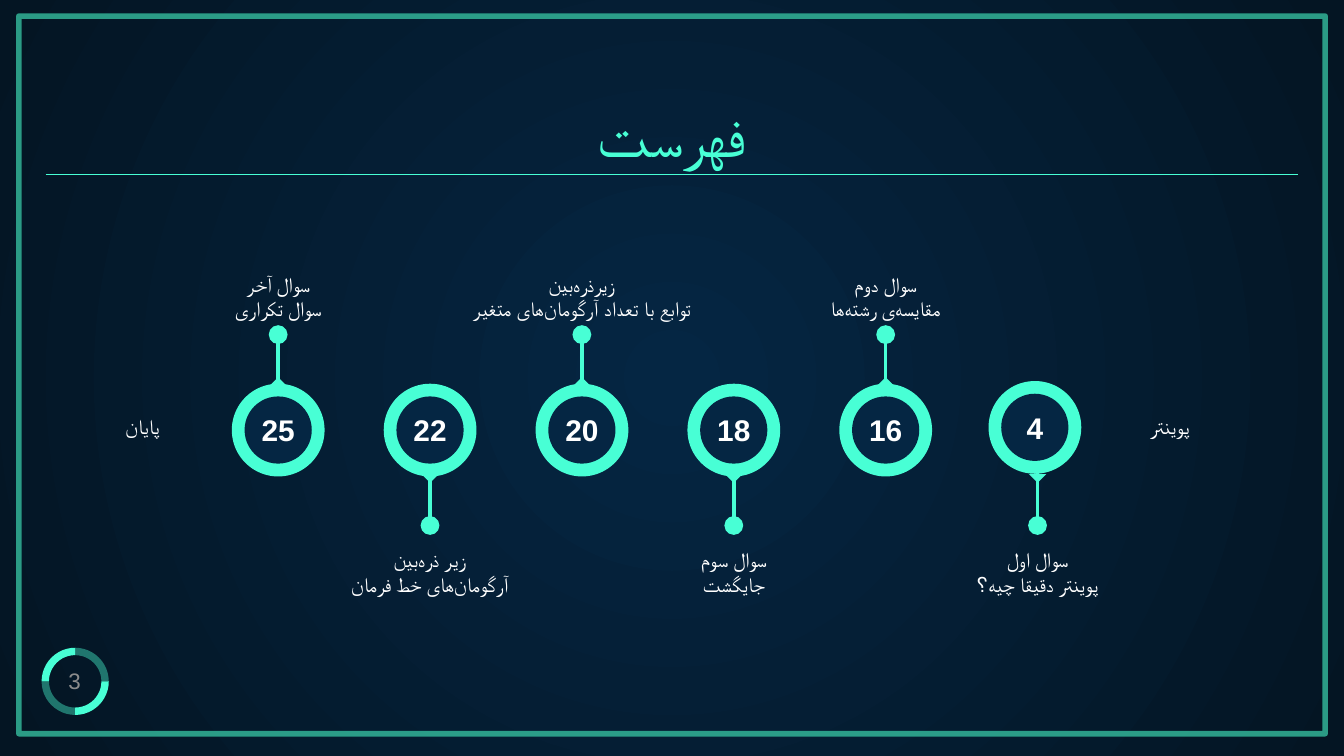
from lxml.etree import SubElement
from pptx import Presentation
from pptx.dml.color import RGBColor
from pptx.enum.shapes import MSO_CONNECTOR, MSO_SHAPE
from pptx.enum.text import MSO_ANCHOR, PP_ALIGN
from pptx.oxml.ns import qn
from pptx.util import Inches, Pt

MINT = RGBColor(0x48, 0xFF, 0xD5)
TEAL = RGBColor(0x35, 0xBD, 0x9E)
NAVY = RGBColor(0x05, 0x26, 0x43)
DARK = RGBColor(0x04, 0x15, 0x23)
GRAY = RGBColor(0x8C, 0x8C, 0x8C)
WHITE = RGBColor(0xFF, 0xFF, 0xFF)

WIDE, HIGH = 10, 5.625
JOINT = chr(0x200C)
TITLE = "فهرست"
PAGE = "3"
STOPS = [
    ("25", ["سوال آخر", "سوال تکراری"]),
    ("22", ["زیر ذره|بین", "آرگومان|های خط فرمان"]),
    ("20", ["زیرذره|بین", "توابع با تعداد آرگومان|های متغیر"]),
    ("18", ["سوال سوم", "جایگشت"]),
    ("16", ["سوال دوم", "مقایسه|ی رشته|ها"]),
    ("4", ["سوال اول", "پوینتر دقیقا چیه؟"]),
]
ENDS = [("پایان", 0.74, 0.64, PP_ALIGN.CENTER), ("پوینتر", 8.46, 0.8, None)]
LEFT, STEP, MID = 2.07, 1.13, 3.2
RING, HOLE, DOT, TIP = 0.69, 0.5, 0.14, 0.13
NUDGE = {"4": 0.02}


def box(x, y, w, h):
    """Return a rectangle in slide units."""
    return Inches(x), Inches(y), Inches(w), Inches(h)


def fade(fill, share):
    """Make a solid fill partly clear."""
    tone = fill.find(".//" + qn("a:srgbClr"))
    SubElement(tone, qn("a:alpha")).set("val", str(share * 1000))


def shape(slide, kind, x, y, w, h, color):
    """Add a plain shape centred on a point."""
    item = slide.shapes.add_shape(kind, *box(x - w / 2, y - h / 2, w, h))
    item.shadow.inherit = False
    item.fill.solid()
    item.fill.fore_color.rgb = color
    item.line.fill.background()
    return item


def rule(slide, x1, y1, x2, y2, width):
    """Add a straight line without shadow."""
    line = slide.shapes.add_connector(
        MSO_CONNECTOR.STRAIGHT, *box(x1, y1, x2, y2))
    line.line.color.rgb = MINT
    line.line.width = Pt(width)
    SubElement(line._element.spPr, qn("a:effectLst"))


def write(frame, lines, font, size, color, align=PP_ALIGN.CENTER,
          inset=0.1, rtl=False, bold=False):
    """Fill a text frame with evenly styled lines."""
    frame.word_wrap = True
    frame.margin_left = frame.margin_right = Inches(inset)
    frame.margin_top = frame.margin_bottom = Inches(inset)
    frame.text = "\n".join(lines).replace("|", JOINT)
    for para in frame.paragraphs:
        para.alignment = align
        if rtl:
            para._p.get_or_add_pPr().set("rtl", "1")
        para.font.name = font
        para.font.size = Pt(size)
        para.font.bold = bold
        para.font.color.rgb = color


def label(slide, lines, x, y, w, h, align=PP_ALIGN.CENTER):
    """Add a right-to-left caption."""
    text = slide.shapes.add_textbox(*box(x, y, w, h))
    write(text.text_frame, lines, "Calibri", 11, WHITE, align, rtl=True)


def backdrop(slide):
    """Paint the round gradient and the frame."""
    fill = slide.background.fill
    fill.gradient()
    for stop, color in zip(fill.gradient_stops, (NAVY, DARK)):
        stop.color.rgb = color
    grad = slide.element.find(".//" + qn("a:gradFill"))
    grad.remove(grad.find(qn("a:lin")))
    glow = SubElement(grad, qn("a:path"), {"path": "circle"})
    SubElement(glow, qn("a:fillToRect"), dict.fromkeys("ltrb", "50000"))
    edge = shape(slide, MSO_SHAPE.RECTANGLE, WIDE / 2, 2.79, 9.72, 5.34, NAVY)
    edge.fill.background()
    edge.line.color.rgb = TEAL
    edge.line.width = Pt(3)
    fade(edge.line._ln, 80)


def badge(slide):
    """Draw the page number in its four-part ring."""
    for part in range(4):
        arc = shape(slide, MSO_SHAPE.BLOCK_ARC, 0.56, 5.07, 0.5, 0.5, MINT)
        for spot, value in enumerate((54 * part, 54 * (part + 1) % 216, 0.11)):
            arc.adjustments[spot] = value
        if part % 2:
            fade(arc._element.spPr, 41)
    text = slide.shapes.add_textbox(*box(0.31, 4.82, 0.49, 0.49))
    text.text_frame.vertical_anchor = MSO_ANCHOR.MIDDLE
    write(text.text_frame, [PAGE], "Arial", 12, GRAY, inset=0)


def station(slide, spot, num, lines):
    """Draw one numbered ring with its pin and caption."""
    x = LEFT + STEP * spot
    side = 1 if spot % 2 else -1
    shift = NUDGE.get(num, 0)
    ring = x - shift, MID - shift
    shape(slide, MSO_SHAPE.OVAL, *ring, RING, RING, MINT)
    tip = shape(slide, MSO_SHAPE.ISOSCELES_TRIANGLE,
                x, MID + side * 0.36, TIP, TIP / 2, MINT)
    tip.rotation = 180 if side > 0 else 0
    pin = MID + side * 0.71
    shape(slide, MSO_SHAPE.OVAL, x, pin, DOT, DOT, MINT)
    rule(slide, x, MID + side * 0.32, x, pin, 1.95)
    hole = shape(slide, MSO_SHAPE.OVAL, *ring, HOLE, HOLE, NAVY)
    write(hole.text_frame, [num], "Arial", 16, WHITE, inset=0, bold=True)
    hole.text_frame.vertical_anchor = MSO_ANCHOR.MIDDLE
    hole.text_frame.word_wrap = False
    label(slide, lines, x - 1.07, 3.97 if side > 0 else 1.92, 2.14, 0.45)


def main():
    """Build the contents slide."""
    deck = Presentation()
    deck.slide_width, deck.slide_height = Inches(WIDE), Inches(HIGH)
    slide = deck.slides.add_slide(deck.slide_layouts[5])
    backdrop(slide)
    badge(slide)
    title = slide.shapes.title
    title.left, title.top, title.width, title.height = box(0.34, 0.7, 9.32, 0.66)
    write(title.text_frame, [TITLE], "Roboto", 32, MINT)
    title.text_frame.vertical_anchor = MSO_ANCHOR.BOTTOM
    rule(slide, 0.34, 1.3, 9.66, 1.3, 0.75)
    for spot, (num, lines) in enumerate(STOPS):
        station(slide, spot, num, lines)
    for word, x, w, align in ENDS:
        label(slide, [word], x, 2.99, w, 0.4, align)
    deck.save("out.pptx")


if __name__ == "__main__":
    main()
